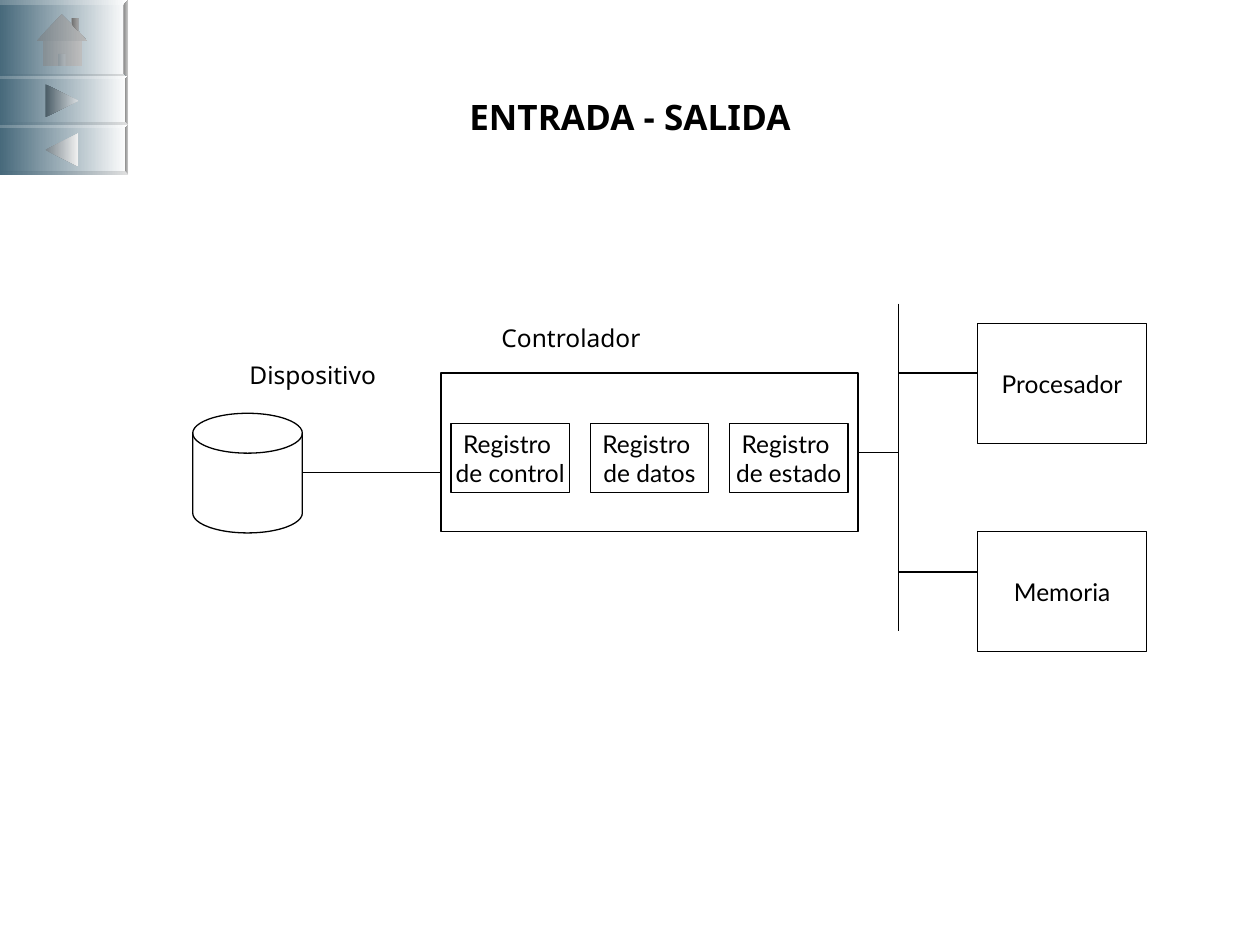
import pptx
import pptx.util
import pptx.dml.color
import pptx.enum.shapes
import pptx.enum.text
import pptx.oxml.ns
from lxml import etree

Inches, Pt = pptx.util.Inches, pptx.util.Pt
SHAPE = pptx.enum.shapes.MSO_SHAPE
ALIGN = pptx.enum.text.PP_ALIGN
MIDDLE = pptx.enum.text.MSO_ANCHOR.MIDDLE

# Icon outlines, measured in inches from the centre of a button
ROOF = [(0, -0.2), (0.08, -0.12), (0.08, -0.17), (0.13, -0.17), (0.13, -0.07),
        (0.2, 0.01), (-0.2, 0.01)]
STACK = [(0.08, -0.12), (0.08, -0.17), (0.13, -0.17), (0.13, -0.07)]
WALLS = [(-0.03, 0.11), (0.03, 0.11), (0.03, 0.21), (0.16, 0.21),
         (0.16, 0.01), (-0.15, 0.01), (-0.15, 0.21), (-0.03, 0.21)]
DOOR = [(-0.03, 0.11), (0.03, 0.11), (0.03, 0.21), (-0.03, 0.21)]
NEXT = [(-0.13, -0.13), (0.13, 0), (-0.13, 0.13)]
BACK = [(-x, y) for x, y in NEXT]
HOUSE = [(ROOF, "7A868D", "B8B8B8"), (STACK, "707070", "A0A0A0"),
         (WALLS, "858F95", "BDBDBD"), (DOOR, "8C969C", "AEB4B8")]


def color(text):
    return pptx.dml.color.RGBColor.from_string(text)


def style(text, size, font, bold=False, align=ALIGN.CENTER):
    for para in text.paragraphs:
        para.alignment = align
        for run in para.runs:
            run.font.size = Pt(size)
            run.font.name = font
            run.font.bold = bold
            run.font.color.rgb = color("000000")


def patch(slide, points, start, end):
    """Draw a closed outline with a left-to-right gradient."""
    spots = [(Inches(x), Inches(y)) for x, y in points]
    build = slide.shapes.build_freeform(*spots[0])
    build.add_line_segments(spots[1:], close=True)
    shape = build.convert_to_shape()
    shape.shadow.inherit = False
    shape.line.fill.background()
    shape.fill.gradient()
    shape.fill.gradient_angle = 0
    for stop, shade in zip(shape.fill.gradient_stops, (start, end)):
        stop.color.rgb = color(shade)


def button(slide, left, top, width, height, edge, icon):
    """Draw a button with bevels on all sides but the left."""
    right, low = left + width, top + height
    nw, ne, se, sw = (left, top), (right, top), (right, low), (left, low)
    inner_nw, inner_ne = (left, top + edge), (right - edge, top + edge)
    inner_se, inner_sw = (right - edge, low - edge), (left, low - edge)
    patch(slide, [nw, ne, se, sw], "47697B", "FFFFFF")
    patch(slide, [nw, ne, inner_ne, inner_nw], "6C8795", "FFFFFF")
    patch(slide, [ne, se, inner_se, inner_ne], "858585", "D0D0D0")
    patch(slide, [se, sw, inner_sw, inner_se], "47697B", "E0E0E0")
    mid_x, mid_y = right - 0.53, top + height / 2
    for points, start, end in icon:
        patch(slide, [(mid_x + x, mid_y + y) for x, y in points], start, end)


def menu(slide, left, top):
    button(slide, left, top, 1.02, 0.63, 0.04, HOUSE)
    for row, arrow, start, end in ((0, NEXT, "4A5C66", "D8DDE0"),
                                   (1, BACK, "7A868D", "F0F0F0")):
        button(slide, left, top + 0.6 + row * 0.39, 1.02, 0.4, 0.03,
               [(arrow, start, end)])


def block(slide, left, top, width, height, text="", kind=SHAPE.RECTANGLE):
    shape = slide.shapes.add_shape(kind, Inches(left), Inches(top),
                                   Inches(width), Inches(height))
    shape.shadow.inherit = False
    shape.fill.background()
    shape.line.color.rgb = color("000000")
    shape.line.width = Pt(0.75)
    if text:
        frame = shape.text_frame
        frame.text = text
        frame.word_wrap = False
        frame.vertical_anchor = MIDDLE
        style(frame, 14, "Lato")


def label(slide, left, top, text):
    box = slide.shapes.add_textbox(Inches(left), Inches(top),
                                   Inches(1.5), Inches(0.3))
    frame = box.text_frame
    frame.text = text
    frame.word_wrap = True
    frame.vertical_anchor = MIDDLE
    frame.margin_left = frame.margin_right = 0
    frame.margin_top = frame.margin_bottom = 0
    style(frame, 14, "Noto Sans", align=ALIGN.LEFT)


def wire(slide, x1, y1, x2, y2):
    line = slide.shapes.add_connector(
        pptx.enum.shapes.MSO_CONNECTOR.STRAIGHT,
        Inches(x1), Inches(y1), Inches(x2), Inches(y2))
    line.line.color.rgb = color("000000")
    line.line.width = Pt(0.75)
    etree.SubElement(line._element.spPr, pptx.oxml.ns.qn("a:effectLst"))


def heading(slide, left, top, width, height):
    title = slide.shapes.title
    title.left, title.top = Inches(left), Inches(top)
    title.width, title.height = Inches(width), Inches(height)
    title.text_frame.text = "ENTRADA - SALIDA"
    title.text_frame.vertical_anchor = MIDDLE
    style(title.text_frame, 20, "Noto Sans", bold=True)


def device(slide, left, top):
    label(slide, left + 0.45, top - 0.46, "Dispositivo")
    block(slide, left, top, 0.87, 0.95, kind=SHAPE.FLOWCHART_MAGNETIC_DISK)
    wire(slide, left + 0.87, top + 0.47, left + 1.97, top + 0.47)


def control(slide, left, top):
    label(slide, left + 0.48, top - 0.43, "Controlador")
    block(slide, left, top, 3.31, 1.26)
    for i, name in enumerate(("control", "datos", "estado")):
        block(slide, left + 0.08 + i * 1.105, top + 0.4, 0.94, 0.55,
              f"Registro \nde {name}")


def bus(slide, left, top):
    """Draw the bus line and the parts joined to it."""
    wire(slide, left, top, left, top + 2.6)
    wire(slide, left - 0.32, top + 1.18, left, top + 1.18)
    for name, gap, join in (("Procesador", 0.16, 0.55),
                            ("Memoria", 1.81, 2.13)):
        block(slide, left + 0.63, top + gap, 1.34, 0.95, name)
        wire(slide, left, top + join, left + 0.63, top + join)


def main():
    deck = pptx.Presentation()
    deck.slide_width, deck.slide_height = Inches(10), Inches(7.5)
    slide = deck.slides.add_slide(deck.slide_layouts[5])
    menu(slide, 0, 0)
    heading(slide, 0.5, 0.3, 9, 1.25)
    device(slide, 1.53, 3.28)
    control(slide, 3.5, 2.96)
    bus(slide, 7.13, 2.41)
    deck.save("out.pptx")


if __name__ == "__main__":
    main()
